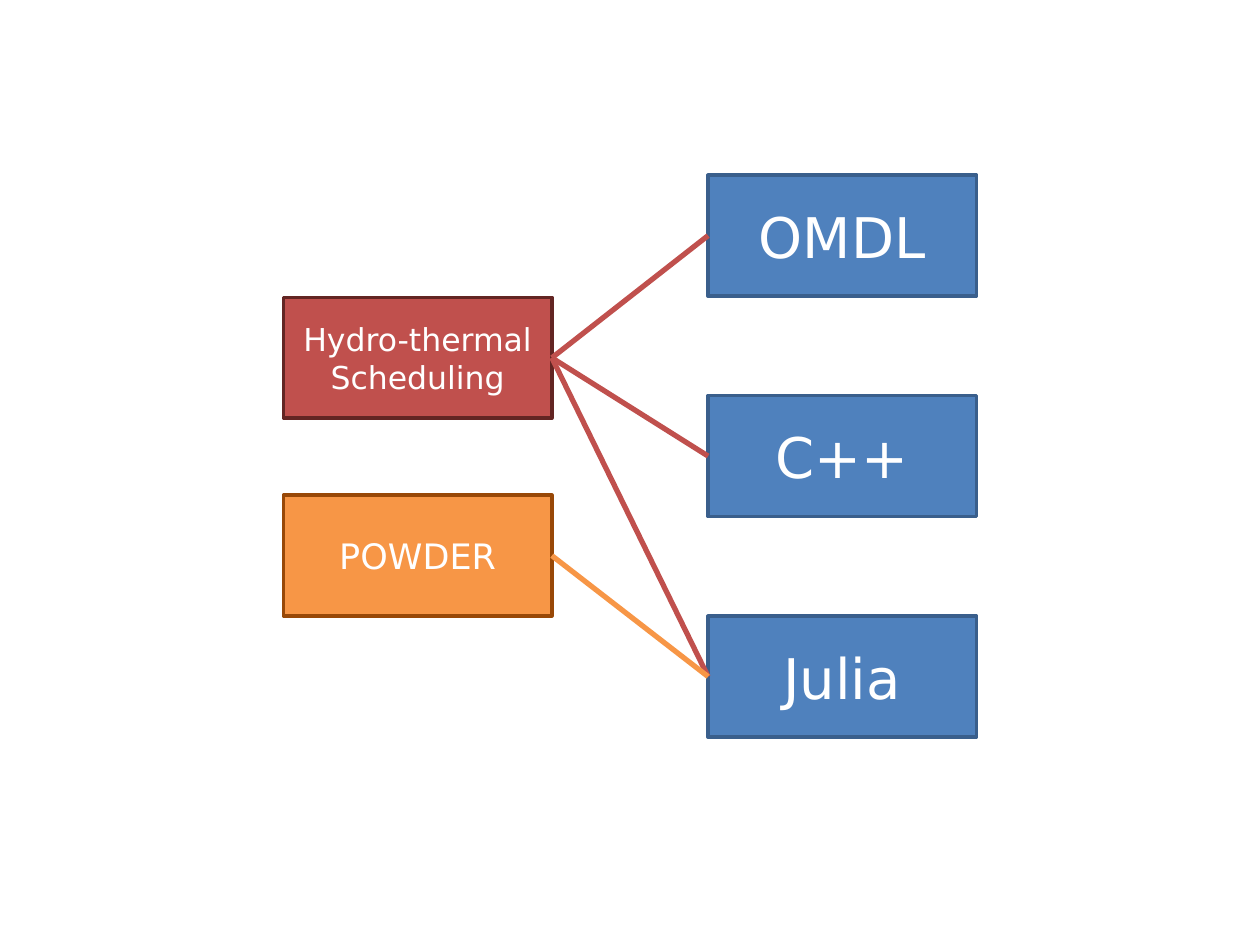
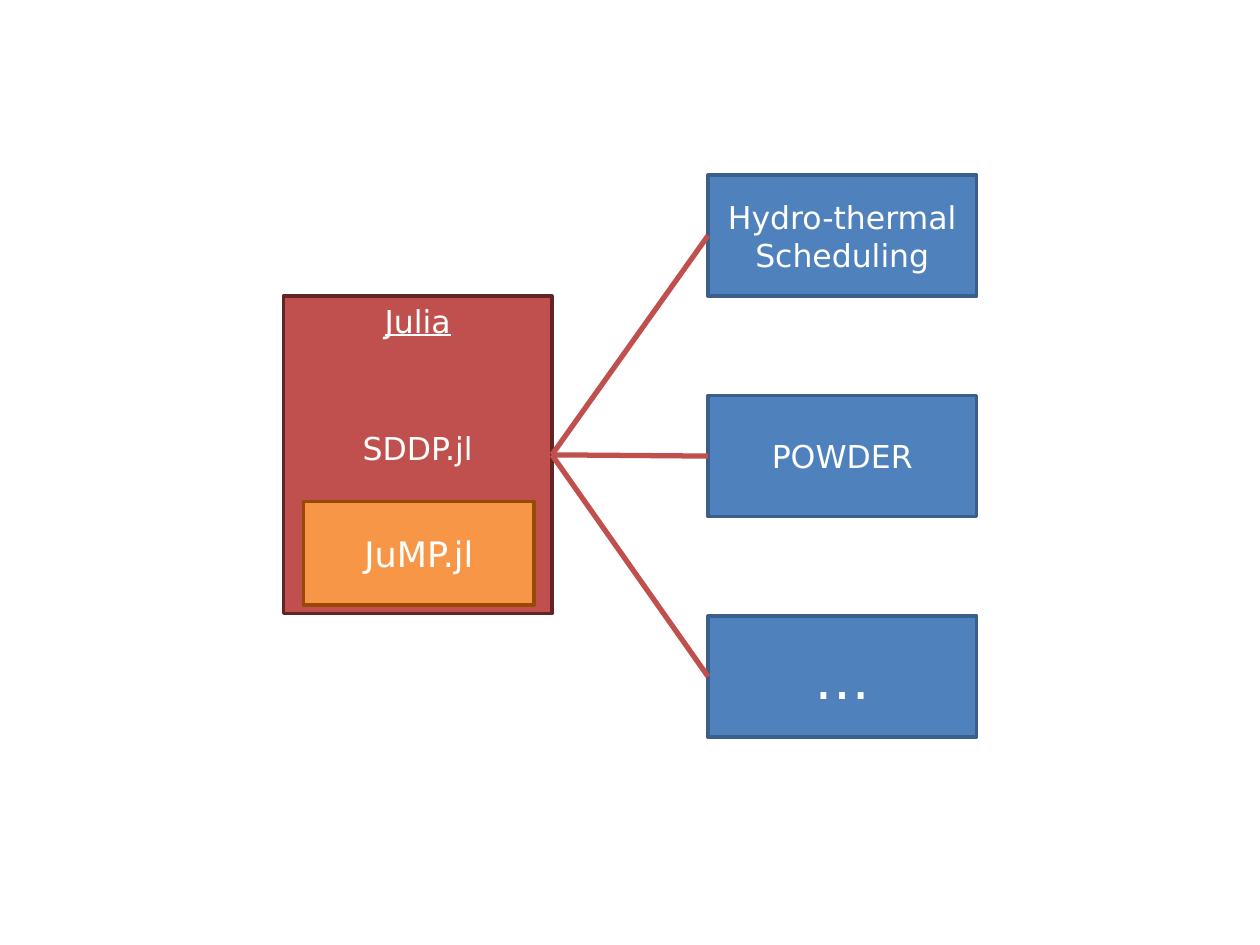
from lxml import etree
from pptx import Presentation
from pptx import util as u
from pptx.dml.color import RGBColor
from pptx.enum import shapes, text
from pptx.oxml.ns import qn

FONT = "DejaVu Sans"
COLOURS = {
    "red": "C0504D", "red_edge": "632523",
    "blue": "4F81BD", "blue_edge": "3A5F8C",
    "orange": "F79646", "orange_edge": "984807",
    "text": "FFFFFF",
}

# Shared grid: one source column on the left, three targets on the right
SOURCE_X, TARGET_X = 2.25, 5.62
TARGET_TOP, TARGET_STEP = 1.39, 1.75
BOX_W, BOX_H = 2.13, 0.96
LEFT_SITE, RIGHT_SITE = 1, 3


def colour(name):
    return RGBColor.from_string(COLOURS[name])


def add_box(slide, hue, lines, size, left, top, width=BOX_W, height=BOX_H):
    """Add a filled box with a darker edge and centred lines of text."""
    box = slide.shapes.add_shape(
        shapes.MSO_SHAPE.RECTANGLE,
        *(u.Inches(length) for length in (left, top, width, height)))
    box.shadow.inherit = False
    box.fill.solid()
    box.fill.fore_color.rgb = colour(hue)
    box.line.color.rgb = colour(hue + "_edge")
    box.line.width = u.Pt(2)
    frame = box.text_frame
    frame.word_wrap = True
    frame.vertical_anchor = text.MSO_ANCHOR.MIDDLE
    frame.text = "\n".join(lines)
    for paragraph in frame.paragraphs:
        paragraph.alignment = text.PP_ALIGN.CENTER
        paragraph.font.name = FONT
        paragraph.font.size = u.Pt(size)
        paragraph.font.color.rgb = colour("text")
    return box


def add_targets(slide, labels):
    """Stack the blue boxes down the right; labels are (text, size) pairs."""
    return [add_box(slide, "blue", [label], size,
                    TARGET_X, TARGET_TOP + row * TARGET_STEP)
            for row, (label, size) in enumerate(labels)]


def link(slide, source, targets, hue):
    """Join the right side of source to the left side of each target."""
    for target in targets:
        line = slide.shapes.add_connector(
            shapes.MSO_CONNECTOR.STRAIGHT, 0, 0, 0, 0)
        line.begin_connect(source, RIGHT_SITE)
        line.end_connect(target, LEFT_SITE)
        line.line.color.rgb = colour(hue)
        line.line.width = u.Pt(3)
        etree.SubElement(line._element.spPr, qn("a:effectLst"))


def build_languages_slide(slide):
    # Each model and the languages it was written in
    scheduling = add_box(slide, "red", ["Hydro-thermal", "Scheduling"], 18,
                         SOURCE_X, 2.36)
    languages = add_targets(slide, [("OMDL", 32), ("C++", 32), ("Julia", 32)])
    link(slide, scheduling, languages, "red")
    powder = add_box(slide, "orange", ["POWDER"], 20, SOURCE_X, 3.93)
    link(slide, powder, languages[-1:], "orange")


def build_library_slide(slide):
    # One Julia library that serves every model
    julia = add_box(slide, "red", ["Julia", "SDDP.jl"], 18,
                    SOURCE_X, 2.35, height=2.52)
    julia.text_frame.vertical_anchor = text.MSO_ANCHOR.TOP
    heading, library = julia.text_frame.paragraphs
    heading.font.underline = True
    library.space_before = u.Pt(51)
    models = add_targets(slide, [("Hydro-thermal Scheduling", 18),
                                 ("POWDER", 18), ("…", 32)])
    link(slide, julia, models, "red")
    # JuMP.jl sits inside the Julia box
    add_box(slide, "orange", ["JuMP.jl"], 20, 2.41, 3.98, 1.83, 0.82)


def main():
    deck = Presentation()
    deck.slide_width, deck.slide_height = u.Inches(10), u.Inches(7.5)
    blank = deck.slide_layouts[6]
    for build in (build_languages_slide, build_library_slide):
        build(deck.slides.add_slide(blank))
    deck.save("out.pptx")


if __name__ == "__main__":
    main()
